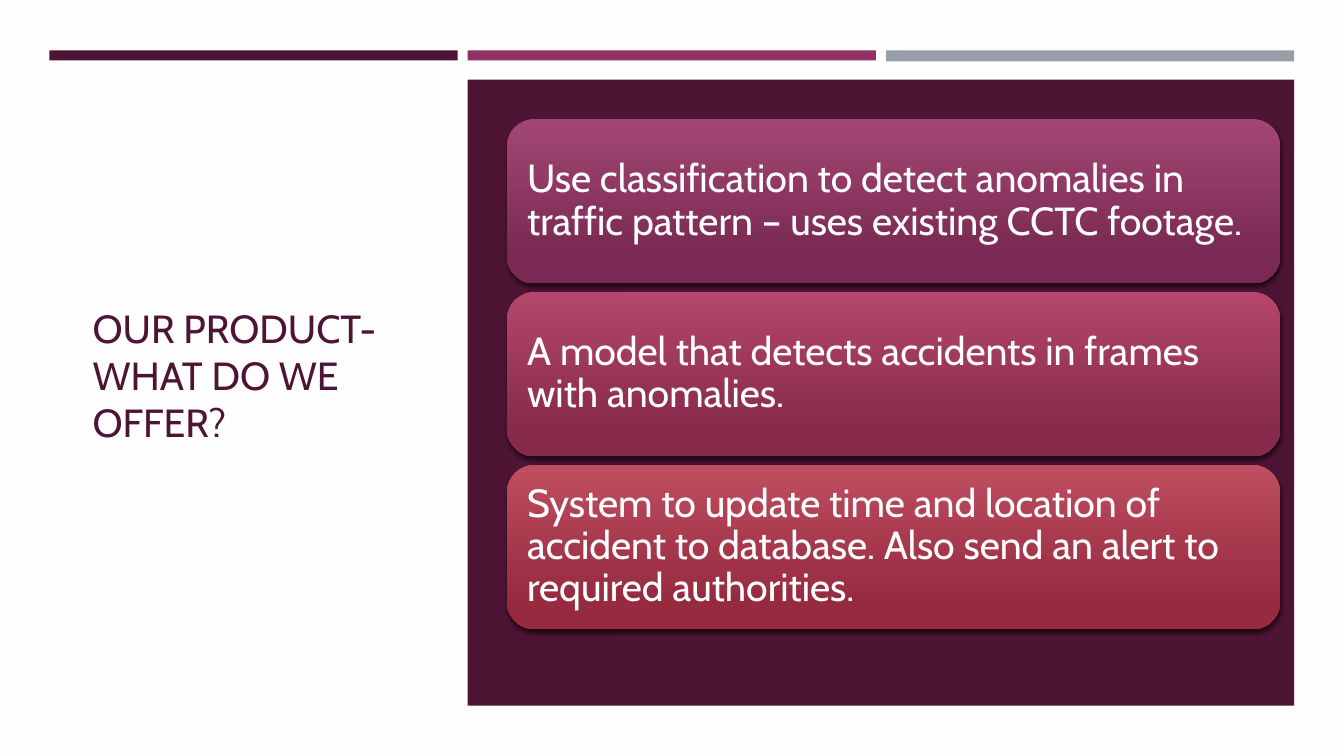
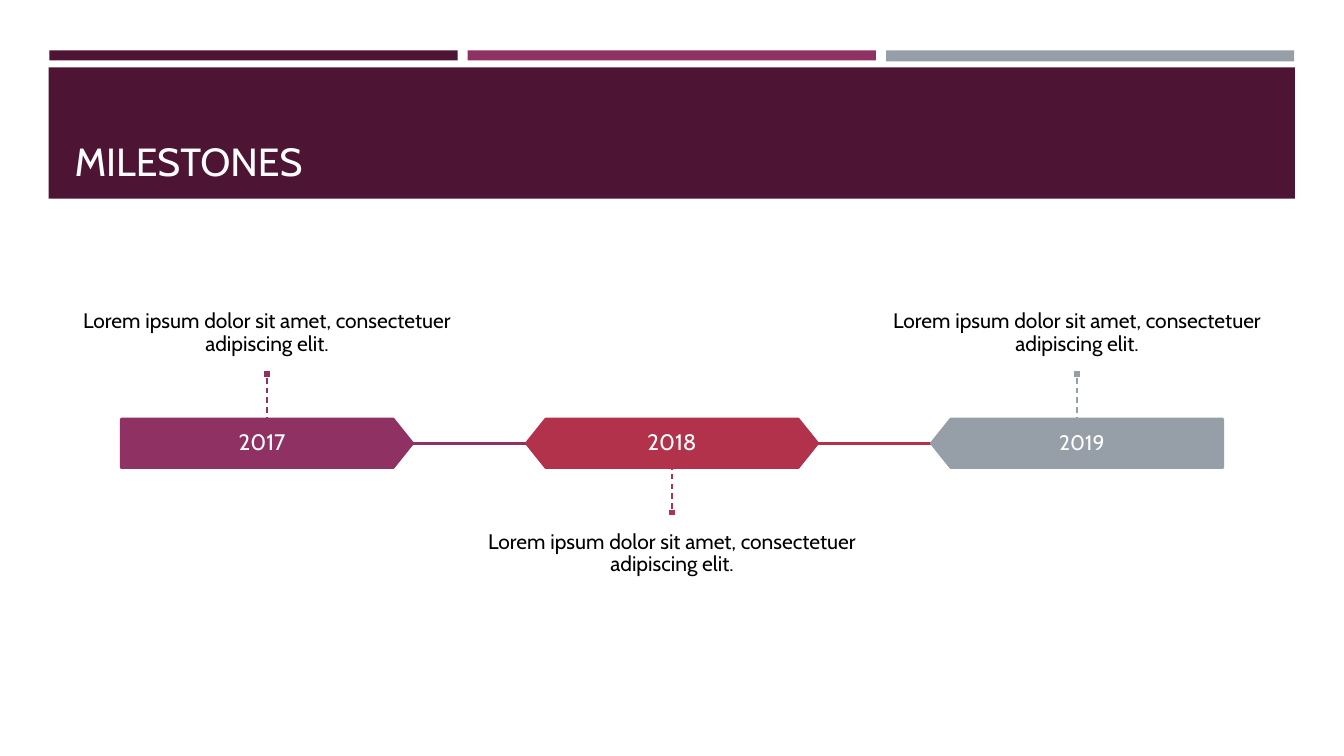
import pptx
import pptx.util
import pptx.dml.color
import pptx.enum.dml
import pptx.enum.shapes
import pptx.enum.text
import lxml.etree

Pt = pptx.util.Pt
SHAPE = pptx.enum.shapes.MSO_SHAPE
ANCHOR = pptx.enum.text.MSO_ANCHOR
ALIGN = pptx.enum.text.PP_ALIGN
NS = "http://schemas.openxmlformats.org/drawingml/2006/main"

FONT = "Cabin"
DARK, PLUM, RED, GREY = "4D1434", "903163", "B2324B", "969FA7"
WHITE, PAPER, BLACK = "FFFFFF", "FFFEFF", "000000"

TOP_BARS = [(DARK, 7.2), (PLUM, 7.2), (GREY, 7.9)]
OFFER_TITLE = "OUR PRODUCT- WHAT DO WE OFFER?"
OFFERS = [
    ("Use classification to detect anomalies in traffic pattern – uses existing CCTC footage.",
     "A24774", "792953"),
    ("A model that detects accidents in frames with anomalies.", "B4476B", "872A4B"),
    ("System to update time and location of accident to database. "
     "Also send an alert to required authorities.", "BF4E61", "962A3F"),
]
MILESTONE_TITLE = "MILESTONES"
LOREM = "Lorem ipsum dolor sit amet, consectetuer adipiscing elit."
MILESTONES = [
    dict(year="2017", note=LOREM, color=PLUM, kind=SHAPE.PENTAGON, above=True, flip=False, size=16),
    dict(year="2018", note=LOREM, color=RED, kind=SHAPE.HEXAGON, above=False, flip=False, size=16),
    dict(year="2019", note=LOREM, color=GREY, kind=SHAPE.PENTAGON, above=True, flip=True, size=15),
]


def rgb(value):
    return pptx.dml.color.RGBColor.from_string(value)


def write(sp, text, size=28, color=WHITE, align=ALIGN.LEFT, anchor=ANCHOR.MIDDLE,
          spacing=0.9, insets=(0, 0)):
    tf = sp.text_frame
    tf.word_wrap = True
    tf.auto_size = pptx.enum.text.MSO_AUTO_SIZE.NONE
    tf.vertical_anchor = anchor
    tf.margin_left = tf.margin_right = Pt(insets[0])
    tf.margin_top = tf.margin_bottom = Pt(insets[1])
    p = tf.paragraphs[0]
    p.alignment, p.line_spacing = align, spacing
    r = p.add_run()
    r.text = text
    r.font.name, r.font.size = FONT, Pt(size)
    r.font.color.rgb = rgb(color)


def add_box(slide, kind, x, y, w, h, fill=None, line=None):
    sp = slide.shapes.add_shape(kind, Pt(x), Pt(y), Pt(w), Pt(h))
    sp.shadow.inherit = False
    if fill:
        sp.fill.solid()
        sp.fill.fore_color.rgb = rgb(fill)
    if line:
        sp.line.color.rgb = rgb(line)
        sp.line.width = Pt(1.75)
    else:
        sp.line.fill.background()
    return sp


def add_line(slide, x1, y1, x2, y2, color, width):
    cx = slide.shapes.add_connector(pptx.enum.shapes.MSO_CONNECTOR.STRAIGHT,
                                    Pt(x1), Pt(y1), Pt(x2), Pt(y2))
    cx.line.color.rgb = rgb(color)
    cx.line.width = Pt(width)
    lxml.etree.SubElement(cx._element.spPr, f"{{{NS}}}effectLst")
    return cx


def add_card(slide, x, y, w, h, text, top, bottom):
    sp = add_box(slide, SHAPE.ROUNDED_RECTANGLE, x, y, w, h)
    sp.fill.gradient()
    sp.fill.gradient_angle = 270
    for stop, position, color in zip(sp.fill.gradient_stops, (0, 0.84), (top, bottom)):
        stop.position = position
        stop.color.rgb = rgb(color)
    effects = sp._element.spPr.find(f"{{{NS}}}effectLst")
    shadow = lxml.etree.SubElement(effects, f"{{{NS}}}outerShdw", blurRad=str(Pt(3)),
                                   dist=str(Pt(2)), dir="5400000", rotWithShape="0")
    black = lxml.etree.SubElement(shadow, f"{{{NS}}}srgbClr", val=BLACK)
    lxml.etree.SubElement(black, f"{{{NS}}}alpha", val="55000")
    write(sp, text, insets=(8.6, 8.6))


def start_slide(prs, title, place, panel, background, **style):
    slide = prs.slides.add_slide(prs.slide_layouts[5])
    slide.background.fill.solid()
    slide.background.fill.fore_color.rgb = rgb(background)
    for i, (color, height) in enumerate(TOP_BARS):
        add_box(slide, SHAPE.RECTANGLE, 35.3 + i * 298.8, 36, 291.6, height, color)
    add_box(slide, SHAPE.RECTANGLE, *panel, DARK)
    sp = slide.shapes.title
    sp.left, sp.top, sp.width, sp.height = map(Pt, place)
    write(sp, title, spacing=1.0, insets=(7.2, 3.6), **style)
    slide.shapes._spTree.append(sp._element)
    return slide


def build_offer(prs):
    slide = start_slide(prs, OFFER_TITLE, (59, 82, 240.5, 371), (334.1, 56.9, 590.4, 447.1),
                        PAPER, color=DARK)
    for i, offer in enumerate(OFFERS):
        add_card(slide, 362.2, 85 + i * 123.5, 552.2, 117.4, *offer)


def build_milestones(prs):
    slide = start_slide(prs, MILESTONE_TITLE, (46.1, 55.4, 868.3, 79.9), (34.8, 48.2, 890.2, 93.8),
                        WHITE, color=PAPER, anchor=ANCHOR.BOTTOM)
    left, top, width, height, pitch = 86.6, 299.2, 208.3, 34.9, 289.3
    stem, dot, note_h = 29.2, 5.8, 92.9
    bottom, middle = top + height, top + height / 2
    for i, m in enumerate(MILESTONES):
        x, color = left + i * pitch, m["color"]
        center = x + width / 2
        arrow = add_box(slide, m["kind"], x, top, width, height, color, color)
        arrow.adjustments[0] = 0.4
        if m["flip"]:
            arrow._element.spPr.xfrm.set("flipH", "1")
        write(arrow, m["year"], size=m["size"], align=ALIGN.CENTER)

        if m["above"]:
            edge, dot_y, note_y, side = top, top - stem - dot, 172.1, 2
        else:
            edge, dot_y, note_y, side = bottom, bottom + stem, 368.6, 0
        note = slide.shapes.add_textbox(Pt(center - pitch / 2), Pt(note_y), Pt(pitch), Pt(note_h))
        write(note, m["note"], size=15, color=BLACK, align=ALIGN.CENTER, insets=(0, 10.8),
              anchor=ANCHOR.BOTTOM if m["above"] else ANCHOR.TOP)
        marker = add_box(slide, SHAPE.RECTANGLE, center - dot / 2, dot_y, dot, dot, color, WHITE)
        dash = add_line(slide, center, dot_y, center, edge, color, 1)
        dash.line.dash_style = pptx.enum.dml.MSO_LINE.DASH
        dash.begin_connect(marker, side)
        if i < len(MILESTONES) - 1:
            add_line(slide, x + width, middle, x + pitch, middle, color, 1.75)


def main():
    prs = pptx.Presentation()
    prs.slide_width, prs.slide_height = Pt(960), Pt(540)
    build_offer(prs)
    build_milestones(prs)
    prs.save("out.pptx")


if __name__ == "__main__":
    main()
